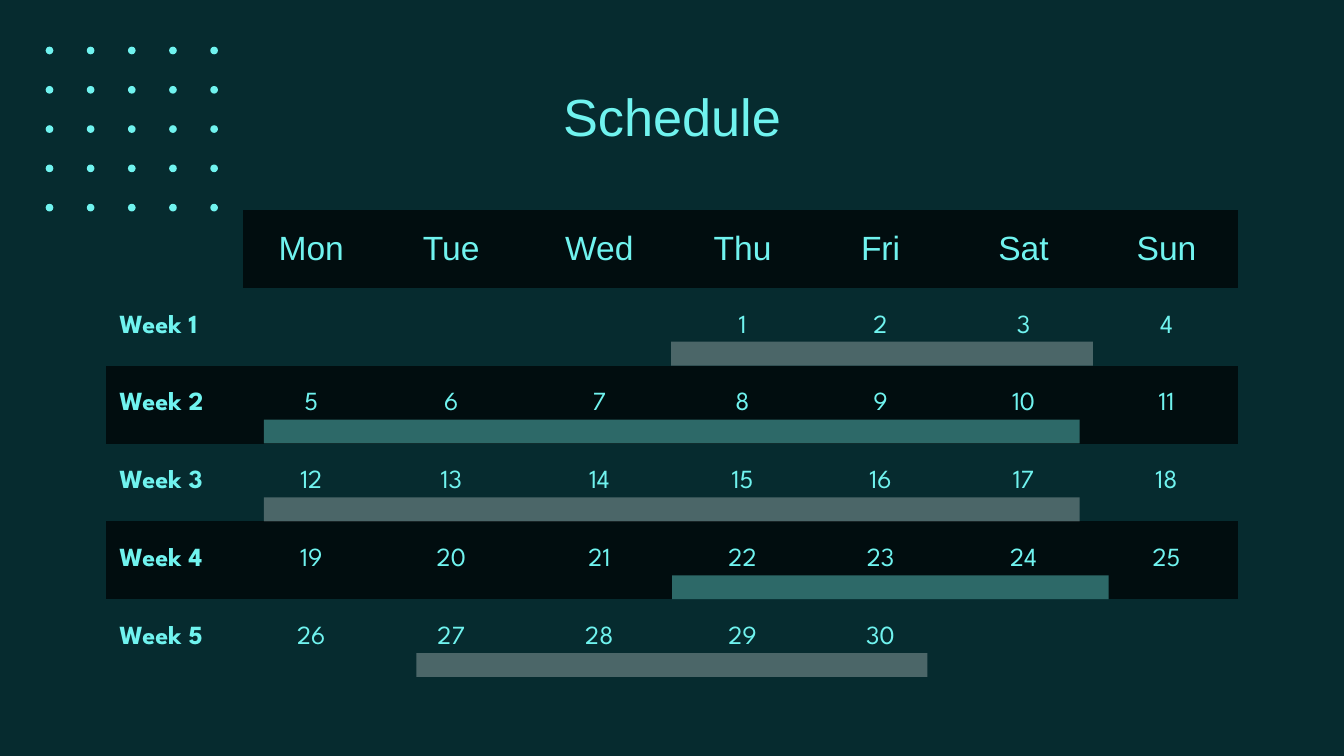
from dataclasses import dataclass

from lxml import etree
from pptx import Presentation
from pptx import util as u
from pptx.dml import color
from pptx.enum import shapes, text
from pptx.oxml import ns

NO_GRID_STYLE = "{2D5ABB26-0587-4C30-8999-92F81FD0307C}"


def paint(fill, value):
    fill.solid()
    fill.fore_color.rgb = color.RGBColor.from_string(value)


@dataclass
class Calendar:
    slide: object
    ground: str = "062B2F"
    accent: str = "70F3EF"
    band: str = "010D0F"
    light: str = "FFFFFF"
    heading: str = "Arial"
    body: str = "League Spartan"

    def background(self):
        paint(self.slide.background.fill, self.ground)

    def add_words(self, frame, wording, align, **formats):
        para = frame.paragraphs[0]
        para.alignment = align
        span = para.add_run()
        span.text = wording
        for name, value in formats.items():
            setattr(span.font, name, value)
        paint(span.font.fill, self.accent)

    def shape(self, kind, left, top, width, height, fill, opacity=None):
        shape = self.slide.shapes.add_shape(
            kind, u.Pt(left), u.Pt(top), u.Pt(width), u.Pt(height))
        shape.shadow.inherit = False
        shape.line.fill.background()
        paint(shape.fill, fill)
        if opacity:
            tone = shape.fill._xPr.find(".//" + ns.qn("a:srgbClr"))
            alpha = etree.SubElement(tone, ns.qn("a:alpha"))
            alpha.set("val", str(opacity * 1000))

    def dot(self, x, y, size):
        self.shape(shapes.MSO_SHAPE.OVAL, x - size / 2, y - size / 2,
                   size, size, self.accent)

    def bar(self, left, top, width, height, fill, opacity):
        self.shape(shapes.MSO_SHAPE.RECTANGLE, left, top, width, height,
                   fill, opacity)

    def title(self, wording, left, top, width, height):
        box = self.slide.shapes.add_textbox(
            u.Pt(left), u.Pt(top), u.Pt(width), u.Pt(height))
        frame = box.text_frame
        settings = {"word_wrap": True, "margin_left": u.Pt(7.2),
                    "margin_right": u.Pt(7.2), "margin_top": u.Pt(9.6),
                    "margin_bottom": u.Pt(0)}
        for name, value in settings.items():
            setattr(frame, name, value)
        self.add_words(frame, wording, text.PP_ALIGN.CENTER,
                       name=self.heading, size=u.Pt(28))

    def cell(self, cell, wording, row, column):
        settings = {"vertical_anchor": text.MSO_ANCHOR.MIDDLE}
        for side in ("left", "right", "top", "bottom"):
            settings["margin_" + side] = u.Pt(7.2)
        for name, value in settings.items():
            setattr(cell, name, value)
        if row % 2 == 0 and (row or column):
            paint(cell.fill, self.band)
        else:
            cell.fill.background()
        if not wording:
            return
        align = text.PP_ALIGN.CENTER if column else text.PP_ALIGN.LEFT
        formats = {"name": self.body if row else self.heading,
                   "size": u.Pt(14 if row else 18), "bold": column == 0}
        self.add_words(cell.text_frame, wording, align, **formats)

    def table(self, rows, left, top, widths, row_height):
        table = self.slide.shapes.add_table(
            len(rows), len(widths), u.Pt(left), u.Pt(top),
            u.Pt(sum(widths)), u.Pt(row_height * len(rows))).table
        table._tbl.tblPr.find(ns.qn("a:tableStyleId")).text = NO_GRID_STYLE
        table.first_row = table.horz_banding = False
        for column, width in zip(table.columns, widths):
            column.width = u.Pt(width)
        for r, row in enumerate(rows):
            table.rows[r].height = u.Pt(row_height)
            for c, wording in enumerate(row):
                self.cell(table.cell(r, c), wording, r, c)


def month_rows(first_column=4, days=30, weeks=5):
    rows = [["", "Mon", "Tue", "Wed", "Thu", "Fri", "Sat", "Sun"]]
    for week in range(weeks):
        dates = [7 * week + column - first_column + 1 for column in range(1, 8)]
        rows.append([f"Week {week + 1}"]
                    + [str(day) if 1 <= day <= days else "" for day in dates])
    return rows


def main():
    deck = Presentation()
    deck.slide_width, deck.slide_height = u.Pt(720), u.Pt(405)
    page = Calendar(deck.slides.add_slide(deck.slide_layouts[6]))
    page.background()

    for column in range(5):
        for row in range(5):
            page.dot(26.5 + 22.05 * column, 27.05 + 21.05 * row, 4.1)

    left, top, row_height, bar_height = 56.7, 112.5, 41.7, 12.8
    page.title("Schedule", left, 35.3, 606.6, 45.4)
    widths = [73.4, 73.4, 76.6, 82.1, 71.3, 76.6, 76.6, 76.6]
    page.table(month_rows(), left, top, widths, row_height)

    bars = {1: (359.5, 226), 3: (141.4, 437), 5: (223, 273.8),
            2: (141.4, 437), 4: (360, 234)}
    for week, (start, length) in bars.items():
        fill, opacity = (page.light, 28) if week % 2 else (page.accent, 40)
        bottom = top + row_height * (week + 1)
        page.bar(start, bottom - bar_height, length, bar_height, fill, opacity)

    deck.save("out.pptx")


if __name__ == "__main__":
    main()
